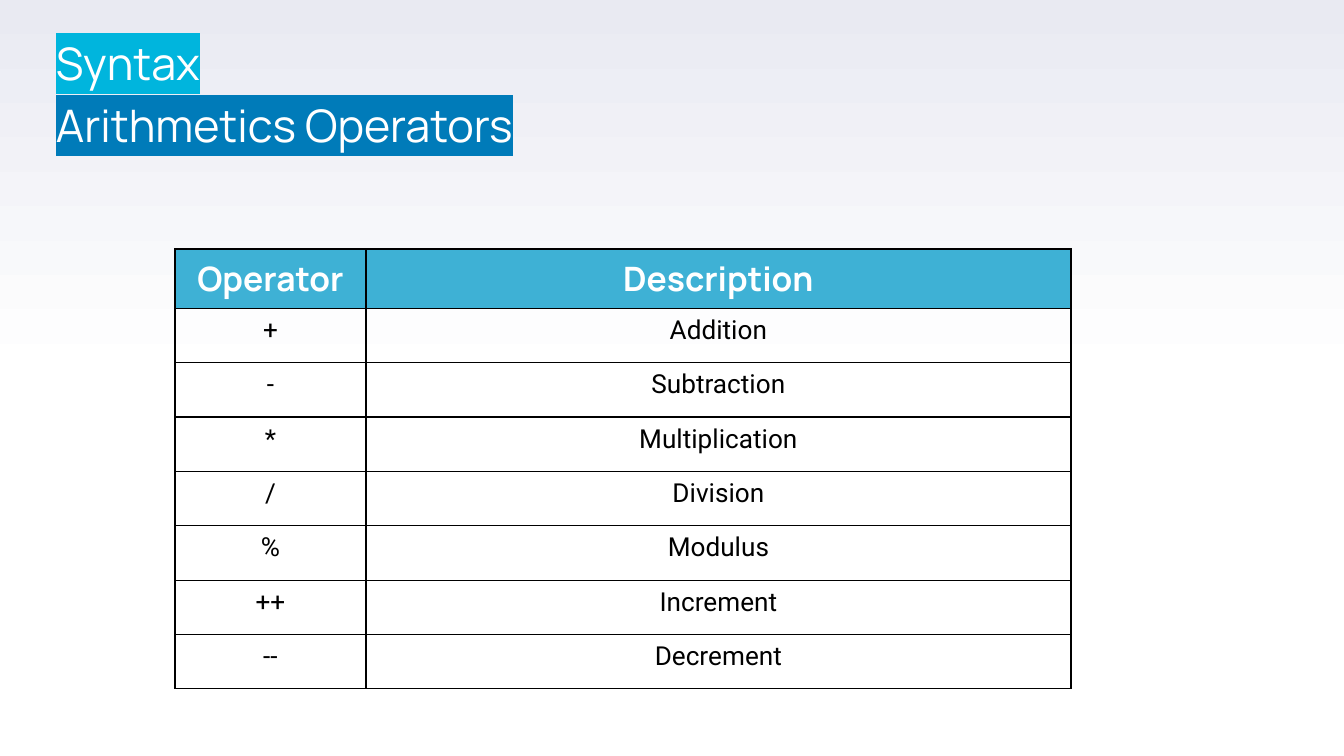
import copy
import pptx
import pptx.util
import pptx.dml.color
import pptx.enum.text
import pptx.oxml

RGB = pptx.dml.color.RGBColor
ALIGN = pptx.enum.text.PP_ALIGN
WHITE = RGB(0xFF, 0xFF, 0xFF)
BLACK = RGB(0x00, 0x00, 0x00)
LAVENDER = RGB(0xE9, 0xEA, 0xF2)
CYAN = RGB(0x00, 0xB5, 0xDD)
BLUE = RGB(0x00, 0x7B, 0xB9)
HEADER_FILL = RGB(0x3E, 0xB1, 0xD5)

TITLE = [("Syntax", CYAN), ("Arithmetics Operators", BLUE)]
ROWS = [
    ("Operator", "Description"),
    ("+", "Addition"),
    ("-", "Subtraction"),
    ("*", "Multiplication"),
    ("/", "Division"),
    ("%", "Modulus"),
    ("++", "Increment"),
    ("--", "Decrement"),
]
BACKGROUND = [(0, WHITE), (0.5, WHITE), (1, LAVENDER)]

SLIDE_SIZE = (1344, 756)
TITLE_BOX = (56, 28, 765, 132)
TABLE_LEFT, TABLE_TOP, TABLE_HEIGHT = 175, 249, 435
COL_WIDTHS = (191, 705)
TITLE_FONT = {"name": "Manrope", "size": 24, "bold": False, "color": WHITE}
HEADER_FONT = {"name": "Manrope", "size": 18, "bold": True, "color": WHITE}
BODY_FONT = {"name": "Roboto", "size": 14, "bold": False, "color": BLACK}
NS = 'xmlns:a="http://schemas.openxmlformats.org/drawingml/2006/main"'


def px(n):
    return pptx.util.Emu(round(n * 914400 / 134.4))


def add_run(p, text, style):
    r = p.add_run()
    r.text = text
    for key, value in style.items():
        if key == "color":
            r.font.color.rgb = value
        else:
            setattr(r.font, key, pptx.util.Pt(value) if key == "size" else value)
    return r


def highlight(r, color):
    latin = r.font._element.find(pptx.oxml.ns.qn("a:latin"))
    latin.addprevious(pptx.oxml.parse_xml(
        f'<a:highlight {NS}><a:srgbClr val="{color}"/></a:highlight>'))


def add_borders(cell):
    tcPr = cell._tc.get_or_add_tcPr()
    for side in "LRTB":
        tcPr.append(pptx.oxml.parse_xml(
            f'<a:ln{side} {NS} w="9525"><a:solidFill><a:srgbClr val="{BLACK}"/>'
            f'</a:solidFill></a:ln{side}>'))


def set_background(s):
    fill = s.background.fill
    fill.gradient()
    fill.gradient_angle = 90
    first = fill.gradient_stops[0]._gs
    first.addnext(copy.deepcopy(first))
    for stop, (position, color) in zip(fill.gradient_stops, BACKGROUND):
        stop.position = position
        stop.color.rgb = color


def add_title(s):
    sp = s.shapes.title
    sp.left, sp.top, sp.width, sp.height = map(px, TITLE_BOX)
    tf = sp.text_frame
    frame = {"margin_left": 0, "margin_top": 0, "margin_right": 0, "margin_bottom": 0,
             "word_wrap": True, "auto_size": pptx.enum.text.MSO_AUTO_SIZE.NONE,
             "vertical_anchor": pptx.enum.text.MSO_ANCHOR.TOP}
    for key, value in frame.items():
        setattr(tf, key, value)
    for i, (text, color) in enumerate(TITLE):
        p = tf.add_paragraph() if i else tf.paragraphs[0]
        p.alignment = ALIGN.LEFT
        p.line_spacing = 1.15
        p.space_before = pptx.util.Pt(0)
        highlight(add_run(p, text, TITLE_FONT), color)


def add_operators(s):
    table = s.shapes.add_table(
        len(ROWS), len(COL_WIDTHS), px(TABLE_LEFT), px(TABLE_TOP),
        px(sum(COL_WIDTHS)), px(TABLE_HEIGHT)).table
    table.first_row = table.horz_banding = False
    for col, width in zip(table.columns, COL_WIDTHS):
        col.width = px(width)
    for i, texts in enumerate(ROWS):
        for j, text in enumerate(texts):
            cell = table.cell(i, j)
            add_borders(cell)
            if i == 0:
                cell.fill.solid()
                cell.fill.fore_color.rgb = HEADER_FILL
            else:
                cell.fill.background()
            p = cell.text_frame.paragraphs[0]
            p.alignment = ALIGN.CENTER
            add_run(p, text, BODY_FONT if i else HEADER_FONT)


def main():
    prs = pptx.Presentation()
    prs.slide_width, prs.slide_height = map(px, SLIDE_SIZE)
    s = prs.slides.add_slide(prs.slide_layouts[5])
    set_background(s)
    add_title(s)
    add_operators(s)
    prs.save("out.pptx")


if __name__ == "__main__":
    main()
